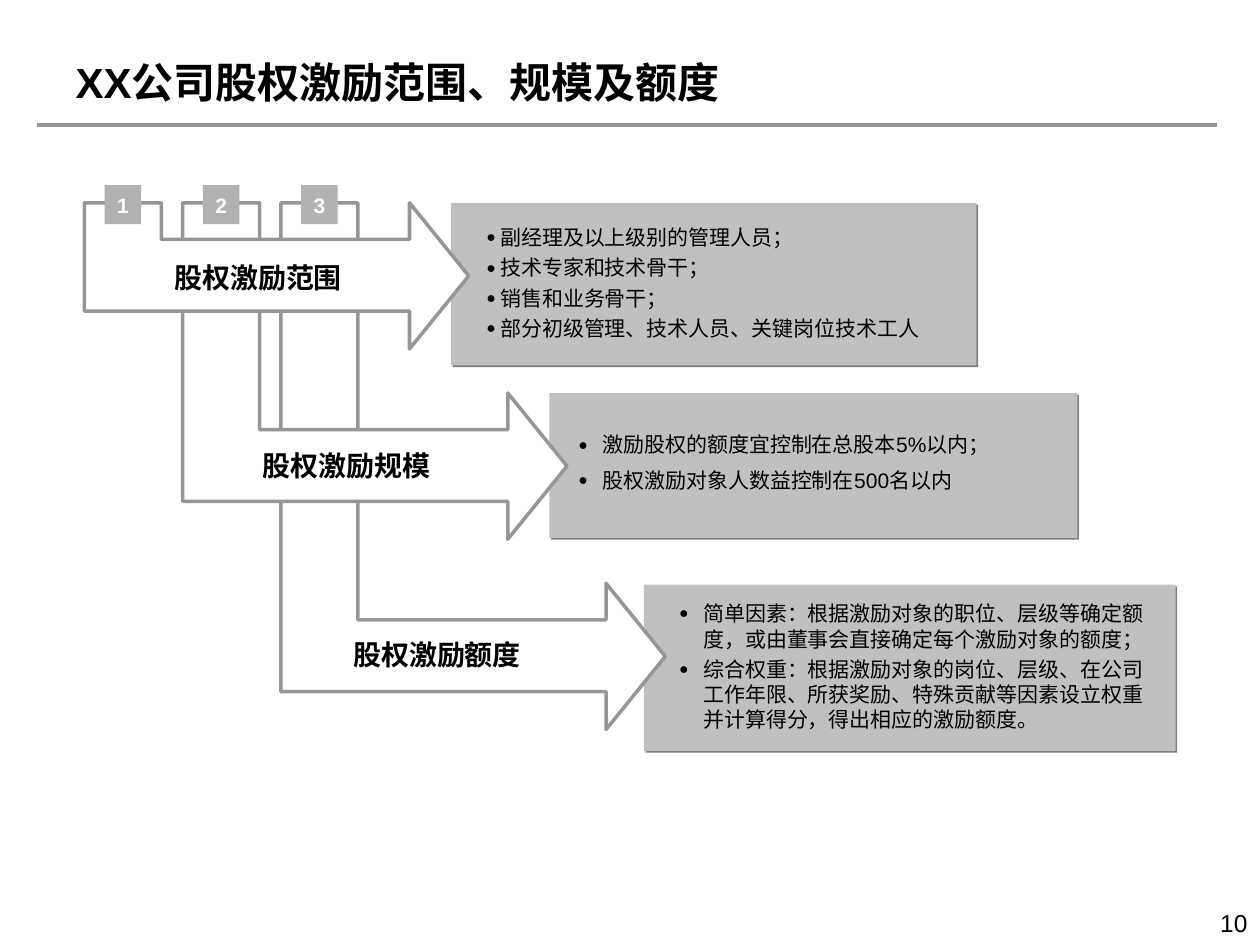
from lxml.etree import SubElement
from pptx import Presentation
from pptx.dml.color import RGBColor
from pptx.enum.shapes import MSO_CONNECTOR, MSO_SHAPE
from pptx.enum.text import MSO_ANCHOR, MSO_AUTO_SIZE, PP_ALIGN
from pptx.oxml.ns import qn
from pptx.util import Inches, Pt

THEME = {
    "font": "Arial",
    "ink": "000000", "paper": "FFFFFF", "rule": "969696",
    "panel": "C0C0C0", "shade": "808080", "badge": "B2B2B2",
    "title": 24, "label": 16, "body": 12, "page": 14,
}

TITLE = "XX公司股权激励范围、规模及额度"
PAGE = "10"
TOPICS = [
    {
        "label": "股权激励范围", "label_at": (0.83, 2.02),
        "panel": (3.58, 1.61, 4.17, 1.29), "body": (3.36, 1.78, 4.16, 0.93),
        "margin": 0.61, "hang": 0.11, "gap": 1.5,
        "points": ["副经理及以上级别的管理人员；", "技术专家和技术骨干；",
                   "销售和业务骨干；", "部分初级管理、技术人员、关键岗位技术工人"],
    },
    {
        "label": "股权激励规模", "label_at": (1.53, 3.51),
        "panel": (4.36, 3.12, 4.19, 1.15), "body": (4.10, 3.43, 4.44, 0.48),
        "margin": 0.68, "hang": 0.19, "gap": 3,
        "points": ["激励股权的额度宜控制在总股本5%以内；",
                   "股权激励对象人数益控制在500名以内"],
    },
    {
        "label": "股权激励额度", "label_at": (2.25, 5.01),
        "panel": (5.11, 4.64, 4.22, 1.32), "body": (5.39, 4.77, 3.78, 1.04),
        "margin": 0.19, "hang": 0.19, "gap": 1.5,
        "points": ["简单因素：根据激励对象的职位、层级等确定额度，或由董事会直接确定每个激励对象的额度；",
                   "综合权重：根据激励对象的岗位、层级、在公司工作年限、所获奖励、特殊贡献等因素设立权重并计算得分，得出相应的激励额度。"],
    },
]

LEFT, TOP = 0.67, 1.61
STEP_X, STEP_Y = 0.78, 1.51
STEM, SHAFT, REACH = 0.61, 2.58, 3.05
SHAFT_TOP, TIP, SHAFT_BOTTOM, HEAD = 0.29, 0.58, 0.86, 1.16


def colour(name):
    return RGBColor.from_string(THEME[name])


def box(values):
    return [Inches(value) for value in values]


def write(paragraph, text, size, ink="ink", bold=False):
    run = paragraph.add_run()
    run.text = text
    run.font.name = THEME["font"]
    run.font.size = Pt(THEME[size])
    run.font.bold = bold
    run.font.color.rgb = colour(ink)


def set_frame(frame, inset=(0, 0), anchor=MSO_ANCHOR.MIDDLE):
    frame.word_wrap = True
    frame.auto_size = MSO_AUTO_SIZE.NONE
    frame.vertical_anchor = anchor
    frame.margin_left = frame.margin_right = Inches(inset[0])
    frame.margin_top = frame.margin_bottom = Inches(inset[1])
    return frame


def add_line_of_text(slide, at, text, size, align, bold=False):
    frame = set_frame(slide.shapes.add_textbox(*box(at)).text_frame,
                      (0.1, 0.05), MSO_ANCHOR.TOP)
    paragraph = frame.paragraphs[0]
    paragraph.alignment = align
    write(paragraph, text, size, bold=bold)


def add_block(slide, at, fill):
    block = slide.shapes.add_shape(MSO_SHAPE.RECTANGLE, *box(at))
    block.shadow.inherit = False
    block.fill.solid()
    block.fill.fore_color.rgb = colour(fill)
    block.line.fill.background()
    return block


def add_panel(slide, at):
    panel = add_block(slide, at, "panel")
    effects = panel._element.spPr.find(qn("a:effectLst"))
    shade = SubElement(effects, qn("a:outerShdw"), dist=str(Pt(1.4)),
                       dir="2700000", algn="ctr", rotWithShape="0")
    SubElement(shade, qn("a:srgbClr"), val=THEME["shade"])


def add_arrow(slide, index):
    x = LEFT + index * STEP_X
    y = TOP + index * STEP_Y
    outline = [
        (x, y + SHAFT_BOTTOM), (x + SHAFT, y + SHAFT_BOTTOM),
        (x + SHAFT, y + HEAD), (x + REACH, y + TIP), (x + SHAFT, y),
        (x + SHAFT, y + SHAFT_TOP), (x + STEM, y + SHAFT_TOP),
        (x + STEM, TOP),
    ]
    builder = slide.shapes.build_freeform(Inches(x), Inches(TOP))
    builder.add_line_segments([box(point) for point in outline], close=True)
    arrow = builder.convert_to_shape()
    arrow.shadow.inherit = False
    arrow.fill.solid()
    arrow.fill.fore_color.rgb = colour("paper")
    arrow.line.color.rgb = colour("rule")
    arrow.line.width = Pt(2)


def add_points(slide, topic):
    frame = set_frame(slide.shapes.add_textbox(*box(topic["body"])).text_frame)
    for index, point in enumerate(topic["points"]):
        paragraph = frame.add_paragraph() if index else frame.paragraphs[0]
        properties = paragraph._p.get_or_add_pPr()
        properties.set("marL", str(Inches(topic["margin"])))
        properties.set("indent", str(-Inches(topic["hang"])))
        bullet_colour = SubElement(properties, qn("a:buClr"))
        SubElement(bullet_colour, qn("a:srgbClr"), val=THEME["ink"])
        SubElement(properties, qn("a:buSzPct"), val="75000")
        SubElement(properties, qn("a:buFont"), typeface=THEME["font"])
        SubElement(properties, qn("a:buChar"), char="●")
        if index:
            paragraph.space_before = Pt(topic["gap"])
        paragraph.space_after = Pt(topic["gap"])
        write(paragraph, point, "body")


def add_badge(slide, index):
    at = (LEFT + 0.16 + index * STEP_X, 1.47, 0.29, 0.31)
    paragraph = set_frame(add_block(slide, at, "badge").text_frame).paragraphs[0]
    paragraph.alignment = PP_ALIGN.CENTER
    write(paragraph, str(index + 1), "body", "paper", True)


def add_title(slide):
    title = slide.shapes.title
    title.left, title.top, title.width, title.height = box((0.5, 0.3, 8, 0.69))
    paragraph = set_frame(title.text_frame, (0.1, 0.05)).paragraphs[0]
    paragraph.alignment = PP_ALIGN.LEFT
    write(paragraph, TITLE, "title", bold=True)
    rule = slide.shapes.add_connector(MSO_CONNECTOR.STRAIGHT,
                                      *box((0.29, 0.99, 9.66, 0.99)))
    rule.line.color.rgb = colour("rule")
    rule.line.width = Pt(2.25)
    SubElement(rule._element.spPr, qn("a:effectLst"))


def main():
    deck = Presentation()
    deck.slide_width, deck.slide_height = box((10, 7.5))
    slide = deck.slides.add_slide(deck.slide_layouts[5])
    add_title(slide)
    add_line_of_text(slide, (7.67, 7.16, 2.33, 0.34), PAGE, "page", PP_ALIGN.RIGHT)
    for topic in TOPICS:
        add_panel(slide, topic["panel"])
    for index in reversed(range(len(TOPICS))):
        add_arrow(slide, index)
    for index, topic in enumerate(TOPICS):
        add_points(slide, topic)
        add_badge(slide, index)
        add_line_of_text(slide, (*topic["label_at"], 2.44, 0.37),
                         topic["label"], "label", PP_ALIGN.CENTER, True)
    deck.save("out.pptx")


if __name__ == "__main__":
    main()
